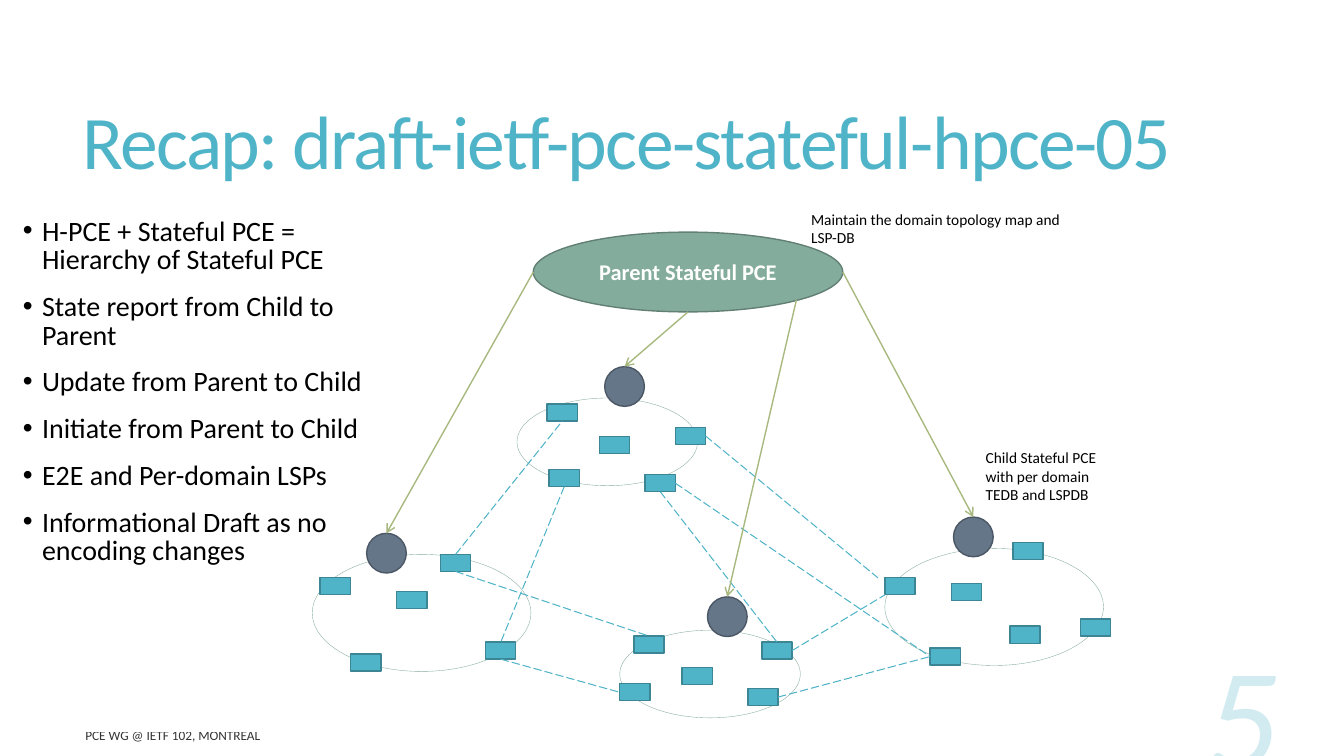
from dataclasses import dataclass
from lxml.etree import SubElement
from pptx import Presentation
from pptx.dml.color import RGBColor
from pptx.enum.dml import MSO_LINE
from pptx.enum.shapes import MSO_CONNECTOR, MSO_SHAPE
from pptx.enum.text import MSO_ANCHOR, PP_ALIGN
from pptx.oxml.ns import qn
from pptx.util import Cm, Pt


@dataclass(frozen=True)
class Theme:
    font: str = "Calibri"
    teal: str = "50B4C8"
    edge: str = "3B8594"
    sage: str = "84AC9D"
    moss: str = "627F74"
    olive: str = "A8B97F"
    slate: str = "657689"
    steel: str = "4B5765"
    black: str = "000000"
    white: str = "FFFFFF"
    title: float = 54
    body: float = 20
    label: float = 16
    note: float = 11
    foot: float = 9.5
    page: float = 103


theme = Theme()
TOP, LEFT, BOTTOM, RIGHT = (0.5, 0), (0, 0.5), (0.5, 1), (1, 0.5)
CORNER, LOW, NEAR = (0.85, 0.85), (0, 1), (-0.23, 0)
NODE = (0.76, 0.43)
HUB = (1, 1)

DOMAINS = {
    "north": ((13.03, 10.03, 4.55, 2.21), (2.21, -0.79),
              [(0.76, 0.15), (3.23, 1.93), (3.99, 0.74), (0.81, 1.8), (2.08, 0.97)]),
    "west": ((7.87, 13.97, 5.51, 2.95), (1.37, -0.53),
             [(4.37, 2.21), (3.23, 0), (0.97, 2.51), (0.2, 0.58), (2.13, 0.94)]),
    "south": ((15.62, 15.88, 4.55, 2.21), (2.21, -0.84),
              [(3.23, 1.47), (0, 1.35), (0.36, 0.15), (3.58, 0.3), (1.57, 0.94)]),
    "east": ((22.3, 13.82, 5.51, 2.95), (1.73, -0.79),
             [(4.93, 1.78), (3.23, -0.15), (1.14, 2.51), (0, 0.74), (1.68, 0.89), (3.15, 1.96)]),
}
LINKS = [
    ("north", 1, BOTTOM, "south", 3, TOP),
    ("west", 1, TOP, "north", 0, BOTTOM),
    ("west", 0, BOTTOM, "south", 1, LEFT),
    ("west", 1, BOTTOM, "south", 2, TOP),
    ("north", 2, RIGHT, "east", 3, NEAR),
    ("south", 3, RIGHT, "east", 3, LOW),
    ("north", 1, RIGHT, "east", 2, LEFT),
    ("south", 0, RIGHT, "east", 2, LEFT),
    ("north", 3, BOTTOM, "west", 0, TOP),
]
REPORTS = {"west": LEFT, "north": BOTTOM, "south": CORNER, "east": RIGHT}
POINTS = [
    "H-PCE + Stateful PCE = Hierarchy of Stateful PCE",
    "State report from Child to Parent",
    "Update from Parent to Child",
    "Initiate from Parent to Child",
    "E2E and Per-domain LSPs",
    "Informational Draft as no encoding changes",
]


def rgb(color):
    return RGBColor.from_string(color)


def style(frame, size, color, alpha=None, align=PP_ALIGN.LEFT):
    for para in frame.paragraphs:
        para.alignment = align
        for run in para.runs:
            font = run.font
            font.name, font.size = theme.font, Pt(size)
            font.color.rgb = rgb(color)
            if alpha:
                tint = run._r.rPr.find(".//" + qn("a:srgbClr"))
                SubElement(tint, qn("a:alpha"), val=str(alpha * 1000))


def write(slide, box, text, size, color, anchor=MSO_ANCHOR.TOP, **look):
    frame = slide.shapes.add_textbox(*map(Cm, box)).text_frame
    frame.word_wrap = True
    frame.vertical_anchor = anchor
    frame.text = text
    style(frame, size, color, **look)
    return frame


def draw(slide, kind, box, fill, line, width=1):
    shape = slide.shapes.add_shape(kind, *map(Cm, box))
    shape.shadow.inherit = False
    if fill:
        shape.fill.solid()
        shape.fill.fore_color.rgb = rgb(fill)
    else:
        shape.fill.background()
    shape.line.color.rgb = rgb(line)
    shape.line.width = Pt(width)
    return shape


def spot(shape, side):
    return (int(shape.left + side[0] * shape.width),
            int(shape.top + side[1] * shape.height))


def join(slide, start, end, color, width):
    wire = slide.shapes.add_connector(MSO_CONNECTOR.STRAIGHT, *start, *end)
    wire.line.color.rgb = rgb(color)
    wire.line.width = Pt(width)
    SubElement(wire._element.spPr, qn("a:effectLst"))
    return wire


def heading(slide, box):
    frame = write(slide, box, "Recap: draft-ietf-pce-stateful-hpce-05",
                  theme.title, theme.teal, MSO_ANCHOR.MIDDLE)
    para = frame.paragraphs[0]
    para.line_spacing = 0.85
    para.runs[0]._r.rPr.set("spc", "-120")


def bullets(slide, box):
    frame = write(slide, box, "\n".join(POINTS), theme.body, theme.black, MSO_ANCHOR.MIDDLE)
    for para in frame.paragraphs:
        para.line_spacing = 0.85
        para.space_before = Pt(13)
        props = para._p.get_or_add_pPr()
        props.set("marL", str(Cm(0.48)))
        props.set("indent", str(-Cm(0.48)))
        SubElement(props, qn("a:buFont"), typeface="Arial")
        SubElement(props, qn("a:buChar"), char="•")


def domain(slide, box, hub, nodes):
    left, top = box[:2]
    draw(slide, MSO_SHAPE.OVAL, box, None, theme.sage, 0.25)
    cells = [draw(slide, MSO_SHAPE.RECTANGLE, (left + x, top + y, *NODE), theme.teal, theme.edge)
             for x, y in nodes]
    child = draw(slide, MSO_SHAPE.OVAL, (left + hub[0], top + hub[1], *HUB),
                 theme.slate, theme.steel)
    return cells, child


def parent(slide, box):
    shape = draw(slide, MSO_SHAPE.OVAL, box, theme.sage, theme.moss)
    frame = shape.text_frame
    frame.text = "Parent Stateful PCE"
    frame.vertical_anchor = MSO_ANCHOR.MIDDLE
    style(frame, theme.label, theme.white, align=PP_ALIGN.CENTER)
    frame.paragraphs[0].runs[0].font.bold = True
    return shape


def network(slide, box):
    left, top = box[:2]
    parts = {}
    for name, (area, hub, nodes) in DOMAINS.items():
        parts[name] = domain(slide, area, hub, nodes)
    for home, i, out, away, j, into in LINKS:
        wire = join(slide, spot(parts[home][0][i], out), spot(parts[away][0][j], into),
                    theme.teal, 0.75)
        wire.line.dash_style = MSO_LINE.LONG_DASH
    root = parent(slide, (left + 5.57, top + 0.69, 7.8, 2.01))
    for name, side in REPORTS.items():
        wire = join(slide, spot(root, side), spot(parts[name][1], TOP), theme.olive, 1)
        SubElement(wire.line._get_or_add_ln(), qn("a:tailEnd"), type="arrow")
    write(slide, (left + 12.32, top, 6.93, 1.19),
          "Maintain the domain topology map and LSP-DB", theme.note, theme.black)
    write(slide, (left + 16.72, top + 6.02, 3.76, 1.68),
          "Child Stateful PCE\nwith per domain TEDB and LSPDB", theme.note, theme.black)


def footer(slide, box):
    left, top, width, height = box
    write(slide, (left, top + 1.88, 13.97, 0.64), "PCE WG @ IETF 102, MONTREAL",
          theme.foot, theme.black, MSO_ANCHOR.MIDDLE, alpha=80)
    page = write(slide, (left + width - 8.13, top, 8.13, height), "5", theme.page,
                 theme.teal, MSO_ANCHOR.BOTTOM, alpha=25, align=PP_ALIGN.RIGHT)
    page.paragraphs[0].runs[0].font.italic = True


deck = Presentation()
deck.slide_width, deck.slide_height = Cm(33.87), Cm(19.05)
slide = deck.slides.add_slide(deck.slide_layouts[6])
heading(slide, (1.83, 1.4, 29.92, 4.6))
network(slide, (7.87, 5.16, 20.48, 12.93))
bullets(slide, (0.33, 5.38, 9.32, 9.02))
footer(slide, (1.9, 16.33, 30.56, 3.89))
deck.save("out.pptx")
